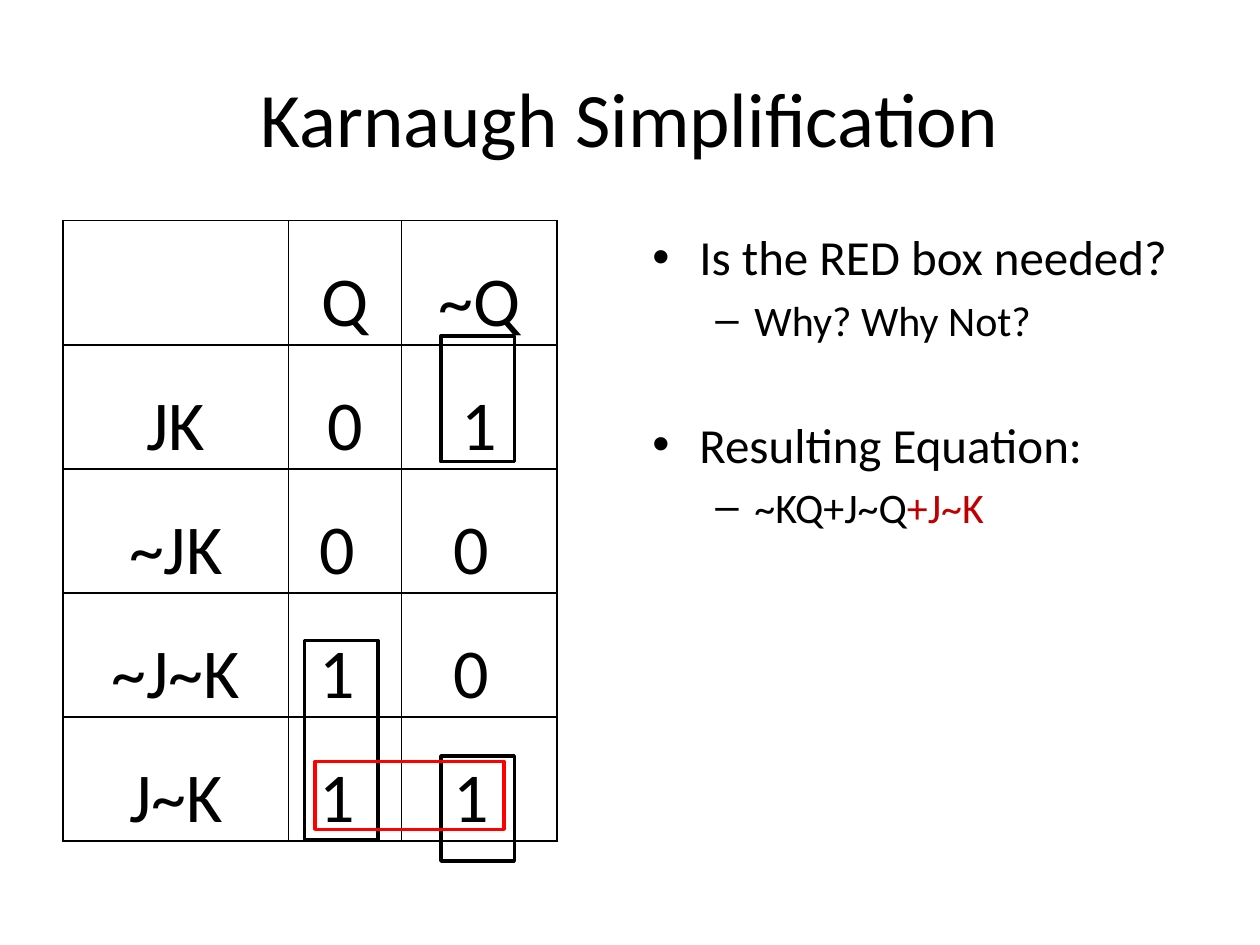
from lxml.etree import SubElement
from pptx import Presentation
from pptx.dml.color import RGBColor
from pptx.enum.shapes import MSO_SHAPE as Shape
from pptx.enum.text import MSO_ANCHOR as Anchor, PP_ALIGN as Align
from pptx.oxml.ns import qn
from pptx.util import Cm, Pt

BLACK, RED, DARK_RED = "000000", "FF0000", "C00000"
KARNAUGH_MAP = [
    ["", "Q", "~Q"],
    ["JK", "0", "1"],
    ["~JK", "0", "0"],
    ["~J~K", "1", "0"],
    ["J~K", "1", "1"],
]
COLUMN_WIDTHS = [4.55, 2.27, 3.14]
ROW_HEIGHT = 2.5
FIRST_SHIFTED_ROW = 2
GROUPS = [
    (8.89, 15.24, 1.48, 2.12, BLACK),
    (6.14, 12.91, 1.48, 4.02, BLACK),
    (8.89, 6.77, 1.48, 2.54, BLACK),
    (6.35, 15.35, 3.81, 1.37, RED),
]
BULLETS = {0: ("•", 0.95, 0.95, 28), 1: ("–", 2.06, 0.79, 24)}


def color(hex_code):
    return RGBColor.from_string(hex_code)


def add_text(paragraph, text, size, hex_code=BLACK, align=None):
    if align is not None:
        paragraph.alignment = align
    run = paragraph.add_run()
    run.text = text
    run.font.name = "Calibri"
    run.font.size = Pt(size)
    run.font.color.rgb = color(hex_code)


def add_frame(slide, left, top, width, height):
    frame = slide.shapes.add_textbox(Cm(left), Cm(top), Cm(width), Cm(height)).text_frame
    frame.word_wrap = True
    return frame


def add_title(slide, title):
    frame = add_frame(slide, 1.27, 0.76, 22.86, 3.18)
    frame.vertical_anchor = Anchor.MIDDLE
    add_text(frame.paragraphs[0], title, 44, align=Align.CENTER)


def add_bullet(paragraph, level, parts, space_before):
    mark, indent, hanging, size = BULLETS[level]
    properties = paragraph._p.get_or_add_pPr()
    properties.set("marL", str(Cm(indent)))
    properties.set("indent", str(-Cm(hanging)))
    SubElement(properties, qn("a:buFont"), typeface="Arial")
    SubElement(properties, qn("a:buChar"), char=mark)
    paragraph.level = level
    paragraph.space_before = Pt(space_before)
    for text, hex_code in parts:
        add_text(paragraph, text, size, hex_code)


def add_questions(slide):
    frame = add_frame(slide, 12.9, 4.45, 11.23, 12.57)
    points = [
        (0, [("Is the RED box needed?", BLACK)], 0),
        (1, [("Why? Why Not?", BLACK)], 4.8),
        (0, [("Resulting Equation:", BLACK)], 39.7),
        (1, [("~KQ+J~Q", BLACK), ("+J~K", DARK_RED)], 4.8),
    ]
    for index, (level, parts, space_before) in enumerate(points):
        paragraph = frame.add_paragraph() if index else frame.paragraphs[0]
        add_bullet(paragraph, level, parts, space_before)


def add_borders(cell):
    properties = cell._tc.get_or_add_tcPr()
    for position, side in enumerate(("a:lnL", "a:lnR", "a:lnT", "a:lnB")):
        border = properties.makeelement(qn(side), {"w": str(Pt(1))})
        fill = SubElement(border, qn("a:solidFill"))
        SubElement(fill, qn("a:srgbClr"), val=BLACK)
        properties.insert(position, border)


def fill_cell(cell, text, right_shift):
    cell.fill.background()
    add_borders(cell)
    cell.vertical_anchor = Anchor.BOTTOM
    cell.margin_left = cell.margin_top = Cm(0.03)
    cell.margin_right = Cm(0.03 + right_shift)
    cell.margin_bottom = 0
    if text:
        add_text(cell.text_frame.paragraphs[0], text, 40, align=Align.CENTER)


def add_karnaugh_map(slide):
    rows, columns = len(KARNAUGH_MAP), len(COLUMN_WIDTHS)
    table = slide.shapes.add_table(
        rows, columns, Cm(1.27), Cm(4.45), Cm(sum(COLUMN_WIDTHS)), Cm(rows * ROW_HEIGHT)
    ).table
    table.first_row = table.horz_banding = False
    for column, width in zip(table.columns, COLUMN_WIDTHS):
        column.width = Cm(width)
    for row_index, values in enumerate(KARNAUGH_MAP):
        table.rows[row_index].height = Cm(ROW_HEIGHT)
        for column_index, value in enumerate(values):
            shifted = row_index >= FIRST_SHIFTED_ROW and column_index > 0
            fill_cell(table.cell(row_index, column_index), value, 0.32 if shifted else 0)


def add_group(slide, left, top, width, height, hex_code):
    group = slide.shapes.add_shape(Shape.RECTANGLE, Cm(left), Cm(top), Cm(width), Cm(height))
    group.shadow.inherit = False
    group.fill.background()
    group.line.color.rgb = color(hex_code)
    group.line.width = Pt(2)


def main():
    deck = Presentation()
    deck.slide_width, deck.slide_height = Cm(25.4), Cm(19.05)
    slide = deck.slides.add_slide(deck.slide_layouts[6])
    add_title(slide, "Karnaugh Simplification")
    add_questions(slide)
    add_karnaugh_map(slide)
    for group in GROUPS:
        add_group(slide, *group)
    deck.save("out.pptx")


if __name__ == "__main__":
    main()
